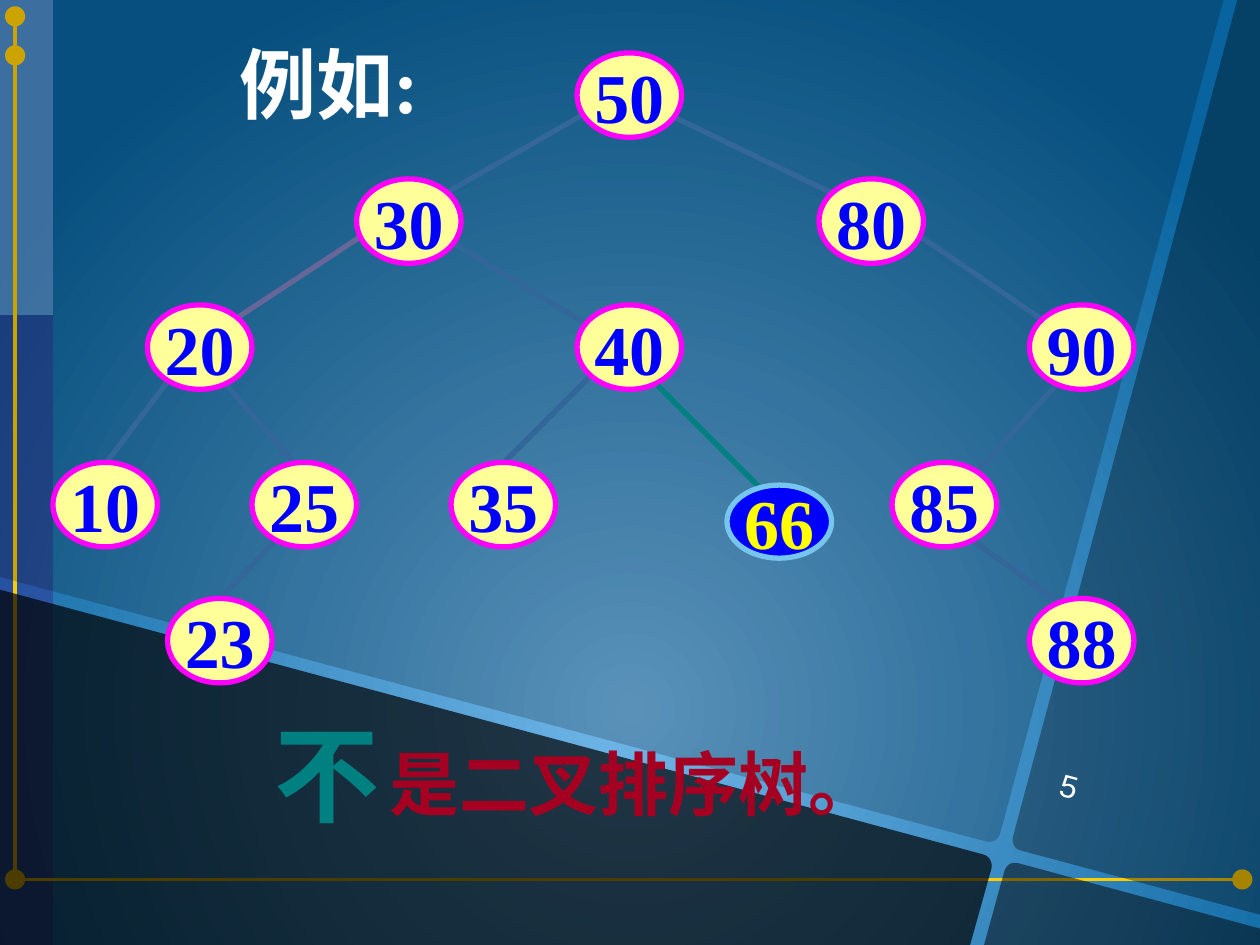
from lxml.etree import SubElement
from pptx import Presentation
from pptx.dml.color import RGBColor
from pptx.enum.shapes import MSO_CONNECTOR, MSO_SHAPE
from pptx.enum.text import MSO_ANCHOR, MSO_AUTO_SIZE, PP_ALIGN
from pptx.oxml.ns import qn
from pptx.util import Inches, Pt

GOLD, SKY, EDGE = "FFCC00", "76C5EF", "336699"
SERIF = "Times New Roman"

# left, top, width, height, colour, opacity
BANDS = [(0, 0, 0.42, 7.5, "333399", 50), (0, 0, 0.42, 2.5, SKY, 53)]
GOLD_LINES = [((0.2, 6.98), (9.88, 6.98)), ((0.12, 6.98), (0.12, 0.13))]
DOT_SIZE = 0.16
DOTS = [(0.04, 6.9), (9.78, 6.9), (0.04, 0.36), (0.04, 0.05)]

# opacity of black, then outline: pairs are corners, six numbers are a Bezier curve
PANELS = [
    (20, [(0, 0), (9.71, 0), (7.94, 6.61), (7.93, 6.66, 7.88, 6.69, 7.83, 6.68), (0, 4.58)]),
    (70, [(0, 4.68), (7.8, 6.78), (7.85, 6.79, 7.88, 6.84, 7.87, 6.89), (7.7, 7.5), (0, 7.5)]),
    (50, [(8.04, 6.85), (8.05, 6.85, 8.07, 6.85, 8.08, 6.85), (10, 7.37), (10, 7.5),
          (7.81, 7.5), (7.97, 6.92), (7.98, 6.88, 8.01, 6.85, 8.04, 6.85)]),
    (35, [(9.82, 0), (10, 0), (10, 7.26), (8.1, 6.75), (8.05, 6.74, 8.03, 6.69, 8.04, 6.64)]),
]

# text, left, top, width, height, rotation, font
TEXTS = [
    ("5", 8.31, 6.09, 0.78, 0.4, 15, ("Arial", 18, "FFFFFF", False)),
    ("例如:", 1.8, 0.24, 1.63, 0.83, 0, (SERIF, 44, "FFFFFF", True)),
    ("是二叉排序树。", 2.99, 5.83, 4.1, 0.77, 0, (SERIF, 40, "A50021", True)),
    ("不", 2.08, 5.58, 1.04, 1.1, 0, (SERIF, 60, "008080", True)),
]

EDGES = [
    ((5.33, 0.92), (6.66, 1.56), EDGE), ((4.68, 0.88), (3.49, 1.56), EDGE),
    ((2.92, 1.84), (1.84, 2.55), "666699"), ((3.58, 1.92), (4.67, 2.58), EDGE),
    ((1.36, 2.99), (0.8, 3.73), EDGE), ((1.75, 3), (2.33, 3.67), EDGE),
    ((2.25, 4.22), (1.75, 4.75), EDGE), ((4.67, 3), (4, 3.67), EDGE),
    ((7.19, 1.8), (8.35, 2.59), EDGE), ((8.47, 2.96), (7.75, 3.75), EDGE),
    ((7.67, 4.25), (8.45, 4.82), EDGE),
]
# top of each tree level: {value: left}
LEVELS = {
    0.42: {"50": 4.58},
    1.42: {"30": 2.83, "80": 6.5},
    2.42: {"20": 1.17, "40": 4.58, "90": 8.17},
    3.67: {"10": 0.42, "25": 2, "35": 3.58, "85": 7.08},
    4.75: {"23": 1.33, "88": 8.17},
}
NODE_SIZE = (0.83, 0.67)
NODE_COLOURS = ("FFFF99", "FF00FF", "0000FF")
WRONG_EDGE = ((5.22, 3.06), (6.18, 4.02), "008080")
WRONG_NODE = ("66", 5.77, 3.85, 0.83, 0.58, ("0000FF", SKY, "FFFF00"))


def rgb(value):
    return RGBColor.from_string(value)


def paint(shape, colour, opacity=100):
    """Give a shape a plain fill with no outline and no shadow."""
    shape.shadow.inherit = False
    shape.fill.solid()
    shape.fill.fore_color.rgb = rgb(colour)
    shape.line.fill.background()
    if opacity < 100:
        solid = shape._element.spPr.find(qn("a:solidFill"))
        SubElement(solid[0], qn("a:alpha"), val=str(opacity * 1000))


def add_line(shapes, start, end, colour, width):
    ends = [Inches(value) for value in start + end]
    line = shapes.add_connector(MSO_CONNECTOR.STRAIGHT, *ends)
    line.line.color.rgb = rgb(colour)
    line.line.width = Pt(width)
    SubElement(line._element.spPr, qn("a:effectLst"))


def write(frame, text, name, size, colour, bold):
    frame.word_wrap = False
    span = frame.paragraphs[0].add_run()
    span.text = text
    for key, value in {"name": name, "size": Pt(size), "bold": bold}.items():
        setattr(span.font, key, value)
    span.font.color.rgb = rgb(colour)


def add_node(shapes, text, left, top, width, height, colours):
    fill, outline, ink = colours
    node = shapes.add_shape(MSO_SHAPE.OVAL, *map(Inches, (left, top, width, height)))
    paint(node, fill)
    node.line.color.rgb = rgb(outline)
    node.line.width = Pt(3)
    write(node.text_frame, text, SERIF, 40, ink, True)
    node.text_frame.vertical_anchor = MSO_ANCHOR.MIDDLE
    node.text_frame.paragraphs[0].alignment = PP_ALIGN.CENTER


def flatten(outline, steps=6):
    """Turn corners and Bezier curves into a list of points."""
    points = []
    for part in outline:
        if len(part) == 2:
            points.append(part)
            continue
        knots = [points[-1], part[:2], part[2:4], part[4:]]
        for step in range(1, steps + 1):
            t = step / steps
            weights = ((1 - t) ** 3, 3 * t * (1 - t) ** 2, 3 * t * t * (1 - t), t ** 3)
            points.append(tuple(sum(w * knot[axis] for w, knot in zip(weights, knots))
                                for axis in (0, 1)))
    return [(Inches(x), Inches(y)) for x, y in points]


def set_background(page):
    fill = page.background.fill
    fill.gradient()
    for stop, colour, position in zip(fill.gradient_stops, ("70B6E8", "08639E"), (0, 1)):
        stop.color.rgb = rgb(colour)
        stop.position = position
    gradient = page.background._cSld.find(".//" + qn("a:gradFill"))
    gradient.remove(gradient.find(qn("a:lin")))
    circle = SubElement(gradient, qn("a:path"), path="circle")
    SubElement(circle, qn("a:fillToRect"), l="50000", t="50000", r="50000", b="0")


def main():
    deck = Presentation()
    deck.slide_width, deck.slide_height = Inches(10), Inches(7.5)
    page = deck.slides.add_slide(deck.slide_layouts[6])
    shapes = page.shapes
    set_background(page)

    for *place, colour, opacity in BANDS:
        paint(shapes.add_shape(MSO_SHAPE.RECTANGLE, *map(Inches, place)), colour, opacity)
    for start, end in GOLD_LINES:
        add_line(shapes, start, end, GOLD, 2)
    for left, top in DOTS:
        place = map(Inches, (left, top, DOT_SIZE, DOT_SIZE))
        paint(shapes.add_shape(MSO_SHAPE.OVAL, *place), GOLD)
    for opacity, outline in PANELS:
        first, *others = flatten(outline)
        builder = shapes.build_freeform(*first)
        builder.add_line_segments(others, close=True)
        paint(builder.convert_to_shape(), "000000", opacity)

    for text, left, top, width, height, rotation, font in TEXTS:
        box = shapes.add_textbox(*map(Inches, (left, top, width, height)))
        box.rotation = rotation
        write(box.text_frame, text, *font)
        if rotation:
            box.text_frame.word_wrap = True
        else:
            box.text_frame.auto_size = MSO_AUTO_SIZE.SHAPE_TO_FIT_TEXT

    tree = shapes.add_group_shape().shapes
    for edge in EDGES:
        add_line(tree, *edge, 3)
    for top, nodes in LEVELS.items():
        for text, left in nodes.items():
            add_node(tree, text, left, top, *NODE_SIZE, NODE_COLOURS)

    wrong_branch = shapes.add_group_shape().shapes
    add_line(wrong_branch, *WRONG_EDGE, 3)
    add_node(wrong_branch, *WRONG_NODE)

    deck.save("out.pptx")


if __name__ == "__main__":
    main()
